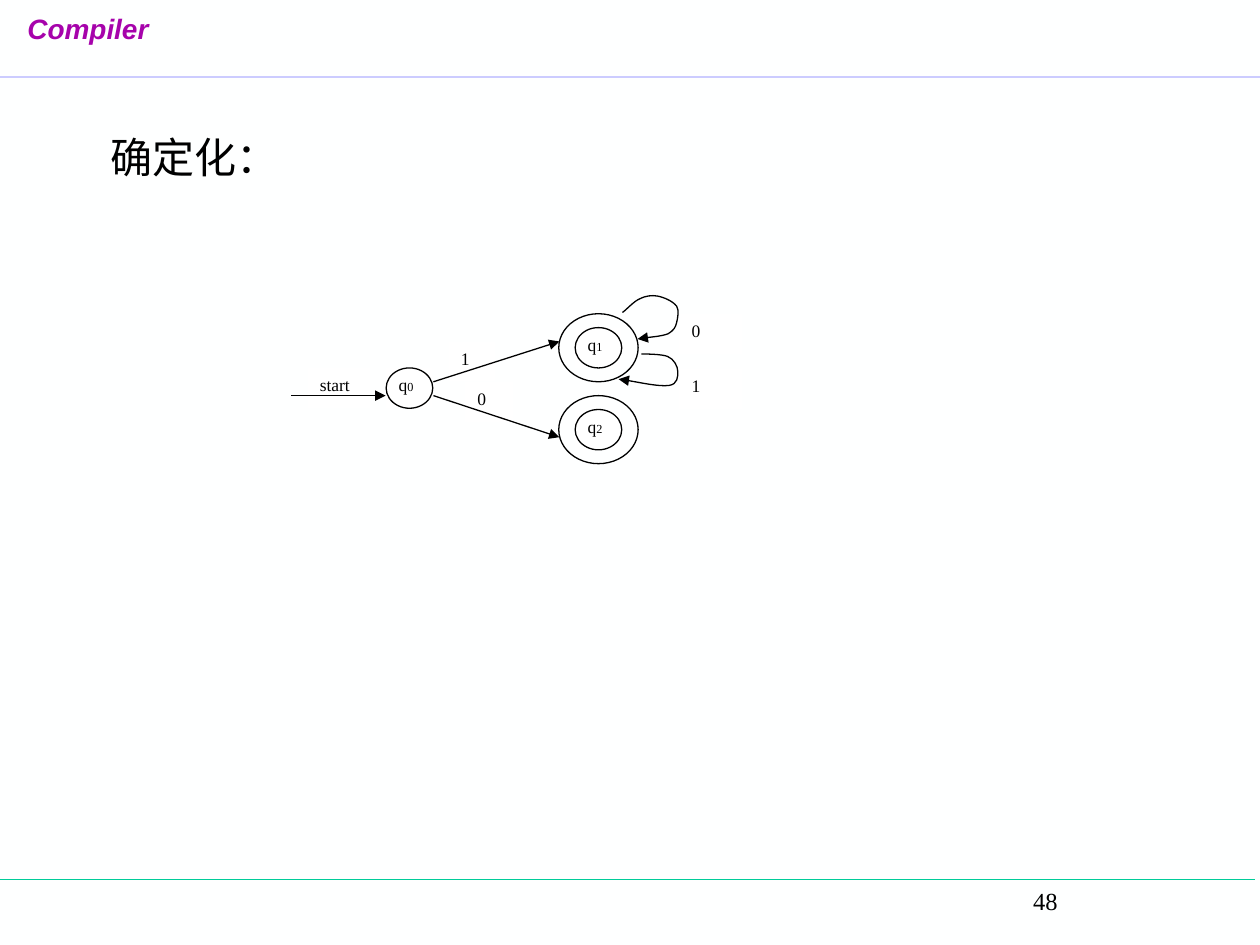
from dataclasses import dataclass

from lxml.etree import SubElement
from pptx import Presentation
from pptx.dml.color import RGBColor
from pptx.enum.shapes import MSO_CONNECTOR, MSO_SHAPE
from pptx.enum.text import MSO_ANCHOR, MSO_AUTO_SIZE, PP_ALIGN
from pptx.oxml.ns import qn
from pptx.util import Inches, Pt


@dataclass(frozen=True)
class Theme:
    background: str = "FEFFFF"
    ink: str = "000000"
    paper: str = "FFFFFF"
    course: str = "A603AB"
    top_rule: str = "CCCCFF"
    bottom_rule: str = "00CC99"
    serif: str = "Times New Roman"
    sans: str = "Arial"
    title_size: int = 24
    course_size: int = 16
    page_size: int = 14
    label_size: int = 10
    subscript_size: int = 7
    line_width: float = 0.75


THEME = Theme()

# State name: center of its circle, and whether it accepts
STATES = {
    "q0": (3.25, 3.08, False),
    "q1": (4.75, 2.76, True),
    "q2": (4.75, 3.41, True),
}
STATE_SIZE = (0.37, 0.32)
ACCEPT_SIZE = (0.63, 0.54)

# Text, left, top, width
EDGE_LABELS = [
    ("start", 2.44, 2.92, 0.5),
    ("1", 3.56, 2.71, 0.37),
    ("0", 3.69, 3.03, 0.38),
    ("0", 5.39, 2.49, 0.5),
    ("1", 5.39, 2.93, 0.5),
]
ARROWS = [
    ((2.31, 3.14), (3.06, 3.14)),
    ((3.44, 3.03), (4.44, 2.71)),
    ((3.44, 3.14), (4.44, 3.47)),
]

# In hundredths of an inch: start point, then three Bezier points a segment
SELF_LOOPS = [
    [(494, 248), (497, 246), (503, 239), (508, 237),
     (512, 235), (517, 234), (522, 235),
     (527, 236), (534, 239), (537, 243),
     (539, 246), (538, 252), (537, 256),
     (536, 260), (535, 262), (530, 265),
     (524, 267), (511, 268), (506, 269)],
    [(509, 281), (512, 281), (525, 281), (530, 283),
     (535, 285), (538, 291), (538, 295),
     (538, 299), (538, 305), (531, 306),
     (523, 307), (500, 302), (491, 301)],
]


def color(value):
    return RGBColor.from_string(value)


def place(shape, left, top, width, height):
    shape.left, shape.top = Inches(left), Inches(top)
    shape.width, shape.height = Inches(width), Inches(height)


def write_text(shape, text, *, size, font=THEME.serif, ink=THEME.ink, bold=False,
               italic=False, align=PP_ALIGN.LEFT, subscript="", inset=0.1):
    frame = shape.text_frame
    frame.auto_size = MSO_AUTO_SIZE.NONE
    frame.word_wrap = True
    frame.vertical_anchor = MSO_ANCHOR.TOP
    frame.margin_left, frame.margin_right = Inches(inset), Inches(0.1)
    frame.margin_top = frame.margin_bottom = Inches(0.05)
    paragraph = frame.paragraphs[0]
    paragraph.alignment = align
    for content, points in ((text, size), (subscript, THEME.subscript_size)):
        if content:
            run = paragraph.add_run()
            run.text = content
            run.font.name, run.font.size = font, Pt(points)
            run.font.bold, run.font.italic = bold, italic
            run.font.color.rgb = color(ink)


def style_line(shape, ink=THEME.ink, width=THEME.line_width, arrow=False):
    shape.line.color.rgb = color(ink)
    shape.line.width = Pt(width)
    if arrow:
        SubElement(shape.line._get_or_add_ln(), qn("a:tailEnd"), type="triangle")


def add_line(slide, start, end, **line_format):
    connector = slide.shapes.add_connector(
        MSO_CONNECTOR.STRAIGHT, *(Inches(value) for value in (*start, *end)))
    style_line(connector, **line_format)
    SubElement(connector._element.spPr, qn("a:effectLst"))


def add_label(slide, text, left, top, width, subscript=""):
    label = slide.shapes.add_shape(
        MSO_SHAPE.RECTANGLE, Inches(left), Inches(top), Inches(width), Inches(0.32))
    label.shadow.inherit = False
    label.fill.solid()
    label.fill.fore_color.rgb = color(THEME.paper)
    label.line.fill.background()
    write_text(label, text, size=THEME.label_size, align=PP_ALIGN.JUSTIFY,
               subscript=subscript)


def add_ellipse(slide, center_x, center_y, width, height):
    ellipse = slide.shapes.add_shape(
        MSO_SHAPE.OVAL, Inches(center_x - width / 2), Inches(center_y - height / 2),
        Inches(width), Inches(height))
    ellipse.shadow.inherit = False
    ellipse.fill.background()
    style_line(ellipse)


def add_state(slide, name, center_x, center_y, accepts):
    width, height = STATE_SIZE
    add_label(slide, name[0], center_x - width / 2, center_y - height / 2, width,
              subscript=name[1:])
    for size in (STATE_SIZE, ACCEPT_SIZE) if accepts else (STATE_SIZE,):
        add_ellipse(slide, center_x, center_y, *size)


def add_self_loop(slide, points):
    builder = slide.shapes.build_freeform(*points[0], scale=Inches(0.01))
    builder.add_line_segments(points[1:], close=False)
    loop = builder.convert_to_shape()
    # Turn each three straight segments into one cubic curve
    outline = loop._element.spPr.find(".//" + qn("a:path"))
    segments = outline.findall(qn("a:lnTo"))
    for first in range(0, len(segments), 3):
        curve = SubElement(outline, qn("a:cubicBezTo"))
        for segment in segments[first:first + 3]:
            curve.append(segment[0])
            outline.remove(segment)
    loop.shadow.inherit = False
    loop.fill.background()
    style_line(loop, arrow=True)


def add_frame(slide):
    add_line(slide, (0, 6.98), (9.96, 6.98), ink=THEME.bottom_rule)
    add_line(slide, (0, 0.61), (10, 0.61), ink=THEME.top_rule, width=1)
    course = slide.shapes.add_textbox(0, 0, 0, 0)
    place(course, 0.12, 0.04, 1.2, 0.56)
    write_text(course, "Compiler", size=THEME.course_size, font=THEME.sans,
               ink=THEME.course, bold=True, italic=True)
    page = slide.shapes.add_textbox(0, 0, 0, 0)
    place(page, 6.89, 6.98, 3.07, 0.5)
    write_text(page, "48", size=THEME.page_size, inset=1.31)


def main():
    presentation = Presentation()
    presentation.slide_width, presentation.slide_height = Inches(10), Inches(7.5)
    slide = presentation.slides.add_slide(presentation.slide_layouts[5])
    slide.background.fill.solid()
    slide.background.fill.fore_color.rgb = color(THEME.background)

    # Header, footer and title
    add_frame(slide)
    title = slide.shapes.title
    place(title, 0.78, 0.99, 1.7, 0.5)
    write_text(title, "确定化：", size=THEME.title_size)

    # Automaton: labels below, then states and transitions
    for label in EDGE_LABELS:
        add_label(slide, *label)
    for name, state in STATES.items():
        add_state(slide, name, *state)
    for start, end in ARROWS:
        add_line(slide, start, end, arrow=True)
    for points in SELF_LOOPS:
        add_self_loop(slide, points)

    presentation.save("out.pptx")


if __name__ == "__main__":
    main()
